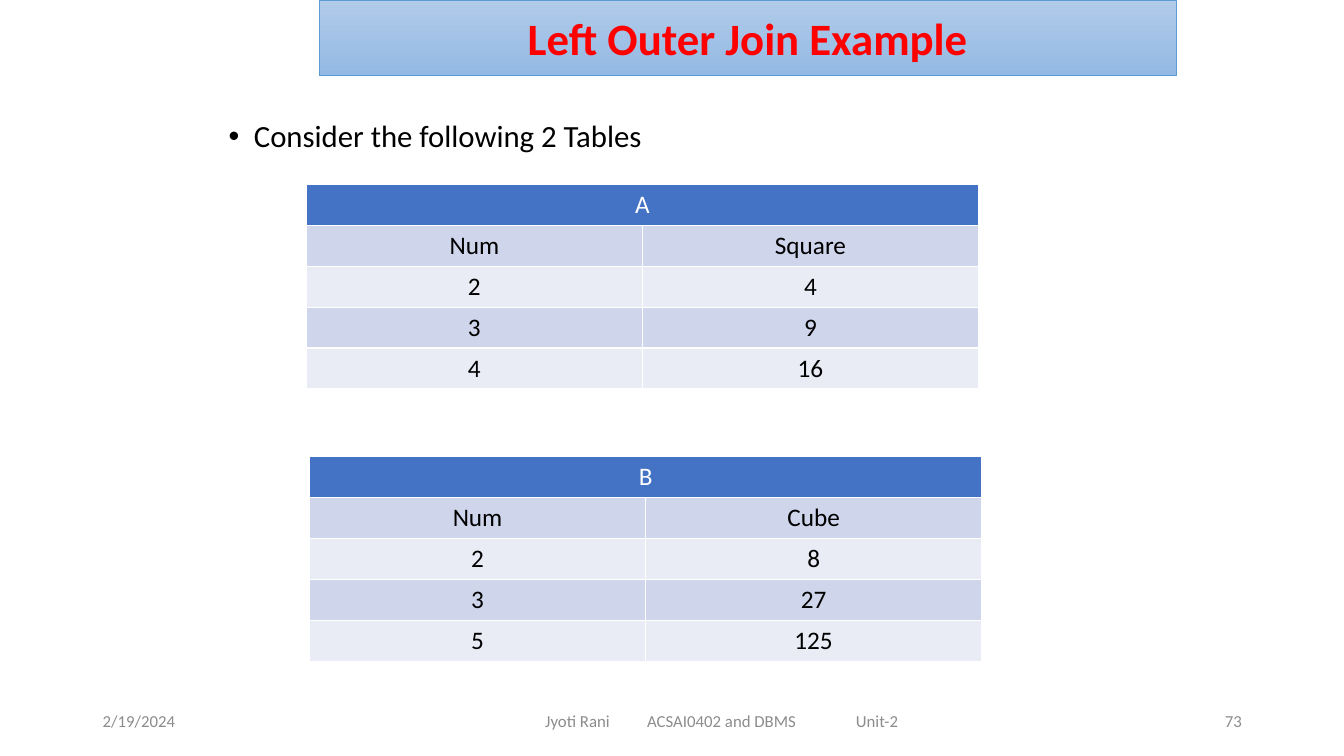
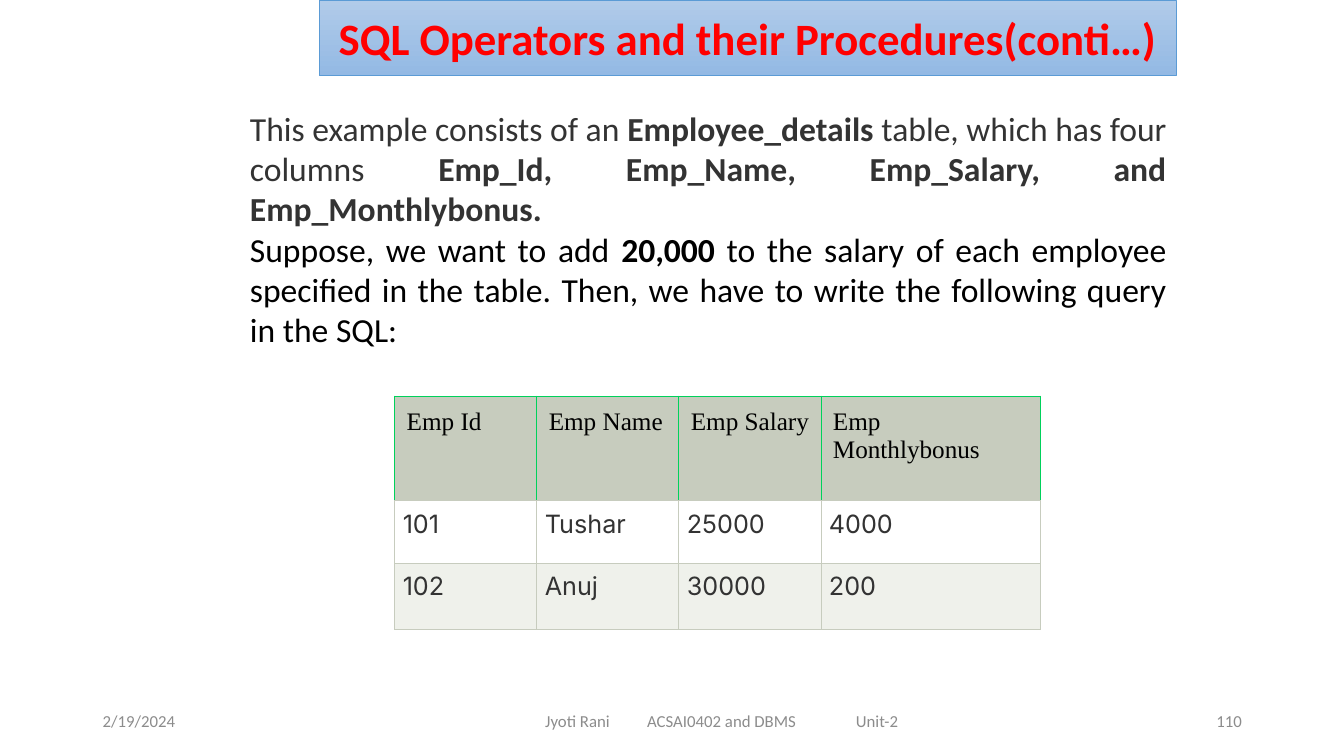
from lxml import etree
from pptx import Presentation
from pptx.dml.color import RGBColor
from pptx.enum.text import MSO_ANCHOR, MSO_AUTO_SIZE, PP_ALIGN
from pptx.oxml.ns import qn
from pptx.util import Cm, Pt

LEFT, CENTER, RIGHT, JUSTIFY = PP_ALIGN.LEFT, PP_ALIGN.CENTER, PP_ALIGN.RIGHT, PP_ALIGN.JUSTIFY
TOP, MIDDLE = MSO_ANCHOR.TOP, MSO_ANCHOR.MIDDLE
NO_AUTOFIT = MSO_AUTO_SIZE.NONE
TITLE_ONLY = 5

COLORS = {
    "title": "FF0000", "title_top": "B1CBE9", "title_bottom": "93B9E4", "title_line": "5B9BD5",
    "text": "000000", "soft_text": "333333", "footer": "8C8C8C", "white": "FFFFFF",
    "blue": "4472C4", "band_dark": "CFD5EA", "band_light": "E9EBF5",
    "sage": "C7CCBE", "sage_light": "EFF1EB", "green": "00D15B",
}
BODY_FONT = "Calibri"


def color(name):
    return RGBColor.from_string(COLORS[name])


def style(paragraph, size, color_name, alignment=LEFT, name=BODY_FONT, bold=None):
    paragraph.alignment = alignment
    font = paragraph.font
    font.name, font.size, font.bold = name, Pt(size), bold
    font.color.rgb = color(color_name)


def add_title(slide, text):
    title = slide.shapes.title
    title.left, title.top, title.width, title.height = Cm(8.05), Cm(0), Cm(21.59), Cm(1.91)
    title.fill.gradient()
    title.fill.gradient_angle = 270
    for stop, name in zip(title.fill.gradient_stops, ("title_top", "title_bottom")):
        stop.color.rgb = color(name)
    title.line.color.rgb = color("title_line")
    title.line.width = Pt(0.5)
    frame = title.text_frame
    frame.text = text
    frame.auto_size = NO_AUTOFIT
    frame.vertical_anchor = MIDDLE
    style(frame.paragraphs[0], 32, "title", CENTER, bold=True)


def add_text_box(slide, left, top, width, height, anchor=TOP):
    """Add a wrapping box, measured in centimetres, and return its text frame."""
    box = slide.shapes.add_textbox(Cm(left), Cm(top), Cm(width), Cm(height))
    frame = box.text_frame
    frame.word_wrap = True
    frame.vertical_anchor = anchor
    return frame


def add_tab_stops(paragraph, positions):
    tab_list = etree.SubElement(paragraph._p.get_or_add_pPr(), qn("a:tabLst"))
    for position in positions:
        etree.SubElement(tab_list, qn("a:tab"), pos=str(Cm(position)), algn="l")


def add_footer(slide, number):
    parts = (
        ("2/19/2024", 2.34, 7.62, LEFT, ()),
        ("Jyoti Rani\tACSAI0402 and DBMS\tUnit-2", 13.49, 9.6, LEFT, (2.57, 7.83)),
        (number, 23.93, 7.62, RIGHT, ()),
    )
    for text, left, width, alignment, tab_stops in parts:
        frame = add_text_box(slide, left, 17.65, width, 1.02, MIDDLE)
        frame.text = text
        paragraph = frame.paragraphs[0]
        if tab_stops:
            add_tab_stops(paragraph, tab_stops)
        style(paragraph, 12, "footer", alignment)


def add_bullet(slide, text):
    frame = add_text_box(slide, 5.51, 2.92, 22.86, 1.3)
    frame.text = text
    paragraph = frame.paragraphs[0]
    properties = paragraph._p.get_or_add_pPr()
    properties.set("marL", str(Cm(0.64)))
    properties.set("indent", str(-Cm(0.64)))
    etree.SubElement(properties, qn("a:buFont"), typeface="Arial")
    etree.SubElement(properties, qn("a:buChar"), char="•")
    paragraph.line_spacing = 0.9
    style(paragraph, 22, "text")


def add_rich_paragraph(paragraph, runs, color_name):
    """Fill a justified paragraph from (text, bold) pairs."""
    for text, bold in runs:
        run = paragraph.add_run()
        run.text = text
        run.font.bold = bold
    style(paragraph, 24, color_name, JUSTIFY)


def add_grid(slide, left, top, column_widths, row_heights):
    frame = slide.shapes.add_table(len(row_heights), len(column_widths), Cm(left), Cm(top),
                                   Cm(sum(column_widths)), Cm(sum(row_heights)))
    table = frame.table
    table.horz_banding = False
    for column, width in zip(table.columns, column_widths):
        column.width = Cm(width)
    for row, height in zip(table.rows, row_heights):
        row.height = Cm(height)
    return table


def format_cell(cell, fill, borders, width):
    """Set the fill and the left, right, top and bottom border colours."""
    properties = cell._tc.get_or_add_tcPr()
    for side, name in zip("LRTB", borders):
        line = etree.SubElement(properties, qn(f"a:ln{side}"), w=str(Pt(width)))
        line_fill = etree.SubElement(line, qn("a:solidFill"))
        etree.SubElement(line_fill, qn("a:srgbClr"), val=COLORS[name])
    cell.fill.solid()
    cell.fill.fore_color.rgb = color(fill)


def add_number_table(slide, left, top, heading, rows):
    """Add a two-column table under one merged heading."""
    table = add_grid(slide, left, top, [8.47] * 2, [1.03] * (len(rows) + 1))
    table.cell(0, 0).merge(table.cell(0, 1))
    for row_index, values in enumerate([(heading, ""), *rows]):
        is_heading = row_index == 0
        fill = "blue" if is_heading else ("band_light", "band_dark")[row_index % 2]
        for column_index, value in enumerate(values):
            cell = table.cell(row_index, column_index)
            format_cell(cell, fill, ["white"] * 4, 1)
            if cell.is_spanned:
                continue
            cell.text = value
            cell.vertical_anchor = MIDDLE
            style(cell.text_frame.paragraphs[0], 18, "white" if is_heading else "text",
                  CENTER, bold=False)


def add_employee_table(slide, rows):
    table = add_grid(slide, 9.95, 9.98, [3.58, 3.58, 3.58, 5.53], [2.64, 1.57, 1.68])
    for row_index, values in enumerate(rows):
        is_header = row_index == 0
        fill = ("sage", "white", "sage_light")[row_index]
        borders = ["green"] * 3 + ["sage"] if is_header else ["sage"] * 4
        margin = Cm(0.3 if is_header else 0.2)
        for column_index, value in enumerate(values):
            cell = table.cell(row_index, column_index)
            format_cell(cell, fill, borders, 0.75)
            cell.margin_left = cell.margin_right = margin
            cell.margin_top = cell.margin_bottom = margin
            cell.text = value
            paragraph = cell.text_frame.paragraphs[0]
            if is_header:
                style(paragraph, 18, "text", name="Times New Roman", bold=False)
            else:
                style(paragraph, 18, "soft_text", JUSTIFY, "Inter", False)


def add_slide(presentation, title, number):
    slide = presentation.slides.add_slide(presentation.slide_layouts[TITLE_ONLY])
    add_title(slide, title)
    add_footer(slide, number)
    return slide


def build_join_slide(presentation):
    slide = add_slide(presentation, "Left Outer Join Example", "73")
    add_bullet(slide, "Consider the following 2 Tables")
    add_number_table(slide, 7.72, 4.65, "A",
                     [("Num", "Square"), ("2", "4"), ("3", "9"), ("4", "16")])
    add_number_table(slide, 7.8, 11.51, "B",
                     [("Num", "Cube"), ("2", "8"), ("3", "27"), ("5", "125")])


def build_operators_slide(presentation):
    slide = add_slide(presentation, "SQL Operators and their Procedures(conti…)", "110")
    frame = add_text_box(slide, 6.05, 2.59, 23.6, 7.19)
    add_rich_paragraph(frame.paragraphs[0], [
        ("This example consists of an ", False),
        ("Employee_details", True),
        (" table, which has four columns ", False),
        ("Emp_Id, Emp_Name, Emp_Salary, and Emp_Monthlybonus.", True),
    ], "soft_text")
    add_rich_paragraph(frame.add_paragraph(), [
        ("Suppose, we want to add ", False),
        ("20,000", True),
        (" to the salary of each employee specified in the table. "
         "Then, we have to write the following query in the SQL:", False),
    ], "text")
    add_employee_table(slide, [
        ("Emp Id", "Emp Name", "Emp Salary", "Emp Monthlybonus"),
        ("101", "Tushar", "25000", "4000"),
        ("102", "Anuj", "30000", "200"),
    ])


def main():
    presentation = Presentation()
    presentation.slide_width, presentation.slide_height = Cm(33.87), Cm(19.05)
    build_join_slide(presentation)
    build_operators_slide(presentation)
    presentation.save("out.pptx")


if __name__ == "__main__":
    main()
